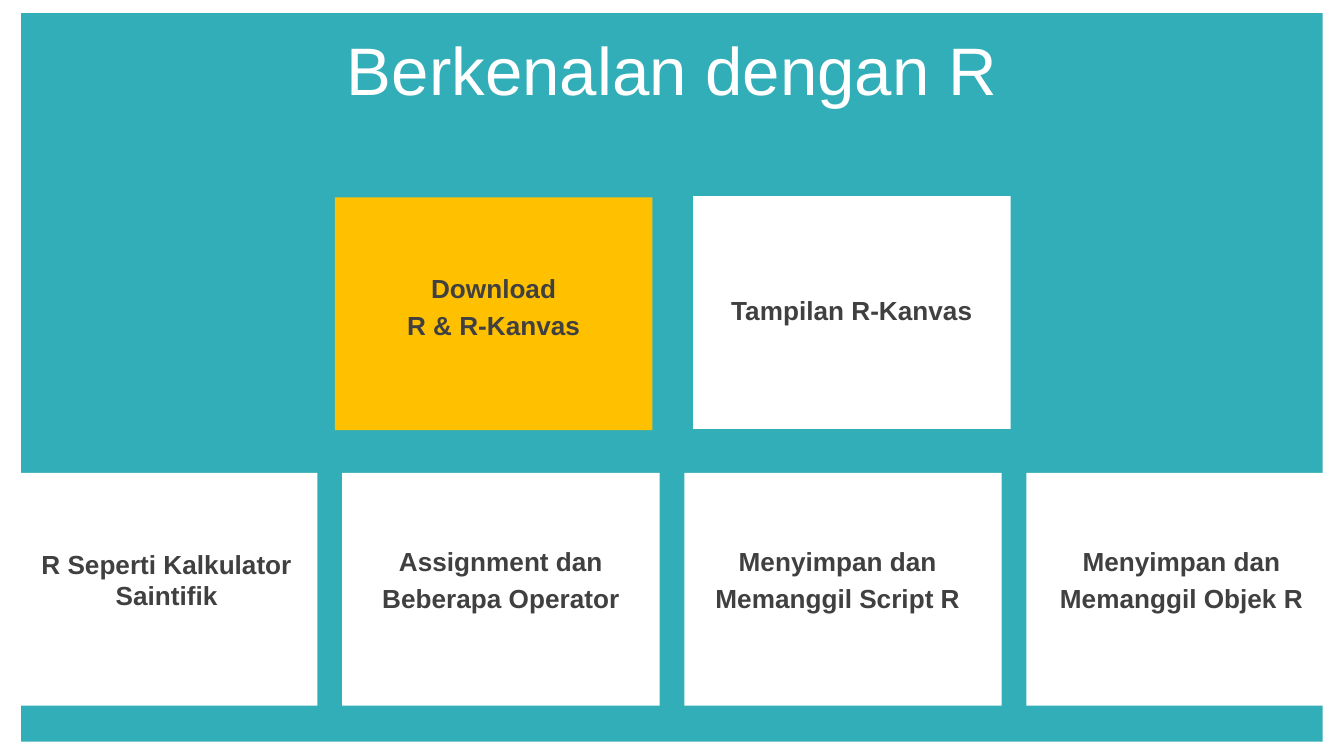
from pptx import Presentation
from pptx.dml.color import RGBColor
from pptx.enum.shapes import MSO_SHAPE
from pptx.enum.text import MSO_ANCHOR, PP_ALIGN
from pptx.util import Cm, Pt

RECT = MSO_SHAPE.RECTANGLE
MIDDLE = MSO_ANCHOR.MIDDLE
CENTER = PP_ALIGN.CENTER

COLORS = {"panel": "32AEB8", "white": "FFFFFF", "active": "FFC000", "text": "404040"}
FONT = "Arial"
SLIDE_W, SLIDE_H = 25.4, 14.29
CARD_W, CARD_H = 6, 4.4
LABEL_W, LABEL_H = 5.3, 1.25


def add_rect(s, x, y, w, h, color):
    sp = s.shapes.add_shape(RECT, Cm(x), Cm(y), Cm(w), Cm(h))
    sp.shadow.inherit = False
    sp.fill.solid()
    sp.fill.fore_color.rgb = RGBColor.from_string(COLORS[color])
    sp.line.fill.background()
    return sp


def set_text(tf, text, size, color, bold=False):
    tf.text = text
    tf.word_wrap = True
    tf.vertical_anchor = MIDDLE
    tf.margin_left = tf.margin_right = tf.margin_top = tf.margin_bottom = 0
    for p in tf.paragraphs:
        p.alignment = CENTER
        p.space_before = Pt(size * 0.2)
        for r in p.runs:
            r.font.name = FONT
            r.font.size = Pt(size)
            r.font.bold = bold
            r.font.color.rgb = RGBColor.from_string(COLORS[color])


def add_title(s, x, y, w, h, text):
    sp = s.shapes.title
    sp.left, sp.top, sp.width, sp.height = Cm(x), Cm(y), Cm(w), Cm(h)
    set_text(sp.text_frame, text, 36, "white")
    # Bring the title in front of the panel
    sp.element.getparent().append(sp.element)


def add_card(s, x, y, text, color="white", dx=0, dy=0):
    """Place a card and its label, which sits dx, dy from the card's centre."""
    add_rect(s, x, y, CARD_W, CARD_H, color)
    label = s.shapes.add_textbox(
        Cm(x + (CARD_W - LABEL_W) / 2 + dx), Cm(y + (CARD_H - LABEL_H) / 2 + dy),
        Cm(LABEL_W), Cm(LABEL_H))
    set_text(label.text_frame, text, 14, "text", bold=True)


def add_card_row(s, x, y, w, cards):
    gap = (w - CARD_W * len(cards)) / (len(cards) - 1)
    for i, (text, dx) in enumerate(cards):
        add_card(s, x + i * (CARD_W + gap), y, text, dx=dx, dy=-0.18)


def main():
    prs = Presentation()
    prs.slide_width, prs.slide_height = Cm(SLIDE_W), Cm(SLIDE_H)
    s = prs.slides.add_slide(prs.slide_layouts[5])

    # Panel and title
    add_rect(s, 0.4, 0.25, 24.6, 13.77, "panel")
    add_title(s, 0, 0.5, SLIDE_W, 1.6, "Berkenalan dengan R")

    # Upper cards
    add_card(s, 6.33, 3.73, "Download\nR & R-Kanvas", color="active", dy=-0.14)
    add_card(s, 13.1, 3.71, "Tampilan R-Kanvas", dy=-0.05)

    # Lower row, spread over the slide width
    add_card_row(s, 0, 8.94, SLIDE_W, [
        ("R Seperti Kalkulator Saintifik", 0.15),
        ("Assignment dan\nBeberapa Operator", 0),
        ("Menyimpan dan\nMemanggil Script R", -0.1),
        ("Menyimpan dan\nMemanggil Objek R", -0.07),
    ])

    prs.save("out.pptx")


if __name__ == "__main__":
    main()
